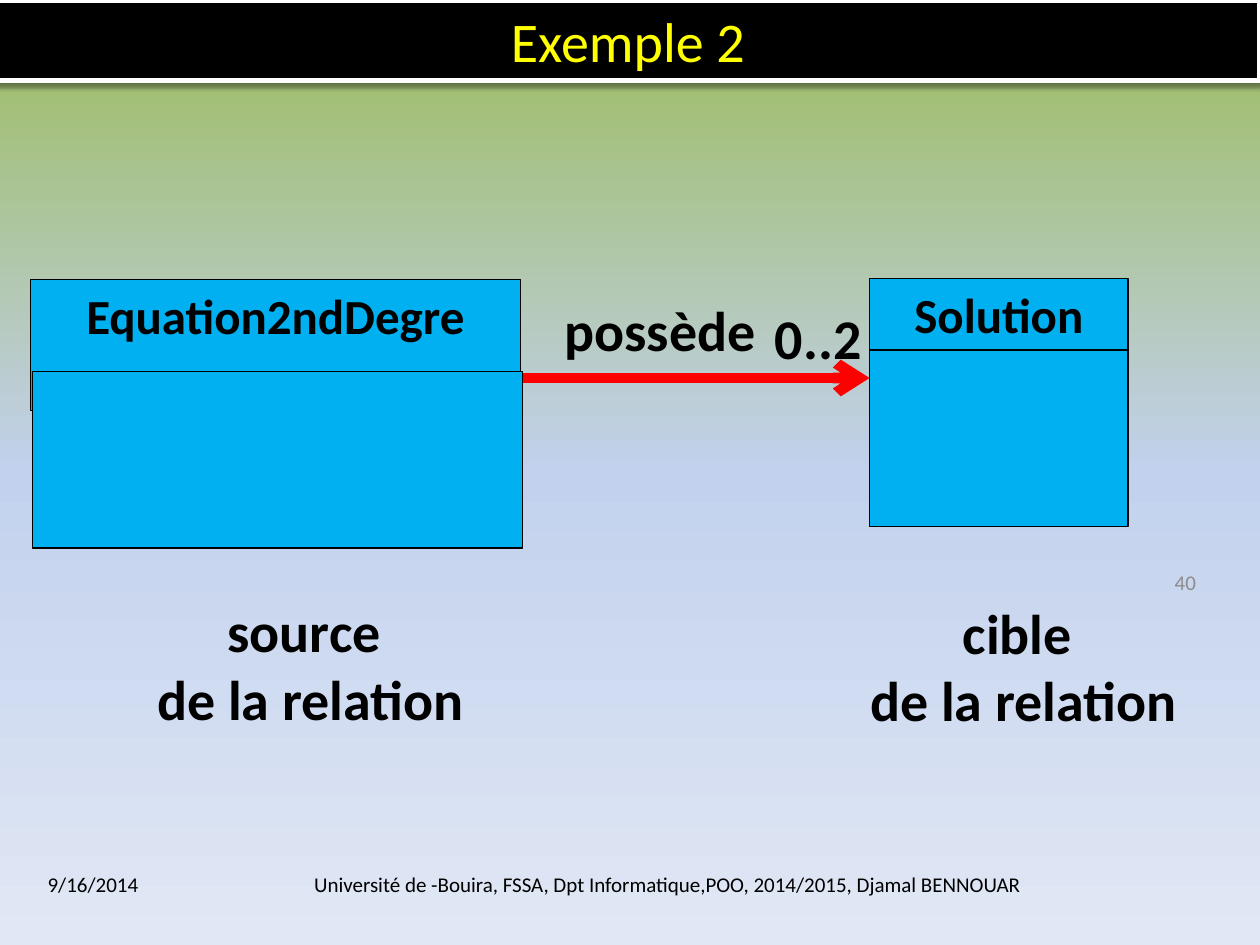
"""Build the slide showing a directed association between two classes."""
from dataclasses import dataclass

from lxml import etree
from pptx import Presentation
from pptx.dml.color import RGBColor
from pptx.enum.shapes import MSO_CONNECTOR, MSO_SHAPE
from pptx.enum.text import MSO_ANCHOR, PP_ALIGN
from pptx.oxml import parse_xml
from pptx.oxml.ns import nsdecls, qn
from pptx.shapes.base import BaseShape
from pptx.slide import Slide
from pptx.text.text import TextFrame
from pptx.util import Cm, Pt

BLACK = RGBColor(0x00, 0x00, 0x00)
WHITE = RGBColor(0xFF, 0xFF, 0xFF)
GREY = RGBColor(0x8C, 0x8C, 0x8C)
RED = RGBColor(0xFF, 0x00, 0x00)
BLUE = RGBColor(0x00, 0xB0, 0xF0)
YELLOW = RGBColor(0xFF, 0xFF, 0x00)
GREEN = RGBColor(0x9B, 0xBB, 0x59)
SKY = RGBColor(0xC2, 0xD1, 0xED)
PALE = RGBColor(0xE1, 0xE8, 0xF5)
LEFT, MID, RIGHT = PP_ALIGN.LEFT, PP_ALIGN.CENTER, PP_ALIGN.RIGHT
TOP, CENTRE = MSO_ANCHOR.TOP, MSO_ANCHOR.MIDDLE
RECT, LINE = MSO_SHAPE.RECTANGLE, MSO_CONNECTOR.STRAIGHT
FONT = "Calibri"


@dataclass
class Box:
    left: float
    top: float
    width: float
    height: float

    def cm(self) -> list[Cm]:
        return [Cm(v) for v in (self.left, self.top, self.width, self.height)]


@dataclass
class Label:
    box: Box
    lines: list[str]
    size: int = 32
    bold: bool = True
    align: PP_ALIGN = MID
    anchor: MSO_ANCHOR = TOP
    color: RGBColor = BLACK


@dataclass
class Class:
    name: str
    head: Box
    body: Box


LABELS = [
    Label(Box(0.71, 17.32, 3.18, 1.02), ["9/16/2014"], 12, False, LEFT, CENTRE),
    Label(Box(3.3, 17.32, 20.32, 1.02),
          ["Université de -Bouira, FSSA, Dpt Informatique,POO, 2014/2015, Djamal BENNOUAR"],
          12, False, MID, CENTRE),
    Label(Box(18.44, 11.23, 5.92, 1.02), ["40"], 12, False, RIGHT, CENTRE, GREY),
    Label(Box(11.13, 5.84, 6.05, 1.63), ["possède"], align=LEFT),
    Label(Box(15.37, 5.99, 3.63, 1.63), ["0..2"], align=LEFT),
    Label(Box(0.61, 11.91, 11.3, 3), ["source ", "de la relation"]),
    Label(Box(16.05, 11.94, 9.17, 3), ["cible ", "de la relation"]),
]
CLASSES = [
    Class("Equation2ndDegre", Box(0.61, 5.64, 9.88, 2.64), Box(0.66, 7.49, 9.88, 3.56)),
    Class("Solution", Box(17.53, 5.61, 5.21, 1.45), Box(17.53, 7.06, 5.21, 3.56)),
]


def write(frame: TextFrame, lines: list[str], size: int, bold: bool,
          align: PP_ALIGN, anchor: MSO_ANCHOR, color: RGBColor) -> None:
    frame.word_wrap = True
    frame.vertical_anchor = anchor
    for i, line in enumerate(lines):
        para = frame.paragraphs[0] if i == 0 else frame.add_paragraph()
        para.alignment = align
        run = para.add_run()
        run.text = line
        font = run.font
        font.name, font.size, font.bold = FONT, Pt(size), bold
        font.color.rgb = color


def paint(shape: BaseShape, fill: RGBColor, line: RGBColor, width: float) -> None:
    shape.fill.solid()
    shape.fill.fore_color.rgb = fill
    shape.line.color.rgb = line
    shape.line.width = Pt(width)


def draw_back(slide: Slide) -> None:
    stops = "".join(
        f'<a:gs pos="{pos}"><a:srgbClr val="{color}"/></a:gs>'
        for pos, color in ((0, GREEN), (50000, SKY), (100000, PALE)))
    slide.element.cSld.insert(0, parse_xml(
        f'<p:bg {nsdecls("p", "a")}><p:bgPr><a:gradFill rotWithShape="1">'
        f'<a:gsLst>{stops}</a:gsLst><a:lin ang="5400000" scaled="0"/>'
        '</a:gradFill><a:effectLst/></p:bgPr></p:bg>'))


def draw_title(slide: Slide) -> None:
    title = slide.shapes.title
    title.left, title.top, title.width, title.height = Box(-0.08, 0, 25.48, 1.63).cm()
    paint(title, BLACK, WHITE, 3)
    title.element.spPr.append(parse_xml(
        f'<a:effectLst {nsdecls("a")}><a:outerShdw blurRad="39370" dist="20320" '
        f'dir="5400000" rotWithShape="0"><a:srgbClr val="{BLACK}">'
        '<a:alpha val="38000"/></a:srgbClr></a:outerShdw></a:effectLst>'))
    write(title.text_frame, ["Exemple 2"], 32, False, MID, CENTRE, YELLOW)


def draw_label(slide: Slide, item: Label) -> None:
    frame = slide.shapes.add_textbox(*item.box.cm()).text_frame
    write(frame, item.lines, item.size, item.bold, item.align, item.anchor, item.color)


def draw_arrow(slide: Slide) -> None:
    arrow = slide.shapes.add_connector(LINE, Cm(8.61), Cm(7.62), Cm(17.53), Cm(7.62))
    arrow.line.color.rgb = RED
    arrow.line.width = Pt(6)
    etree.SubElement(arrow.line._get_or_add_ln(), qn("a:tailEnd"), type="arrow")
    etree.SubElement(arrow.element.spPr, qn("a:effectLst"))


def draw_class(slide: Slide, item: Class) -> None:
    group = slide.shapes.add_group_shape()
    head, body = [group.shapes.add_shape(RECT, *box.cm()) for box in (item.head, item.body)]
    for part in (head, body):
        part.shadow.inherit = False
        paint(part, BLUE, BLACK, 0.75)
    write(head.text_frame, [item.name], 28, True, MID, TOP, BLACK)


def main() -> None:
    deck = Presentation()
    deck.slide_width, deck.slide_height = Cm(25.4), Cm(19.05)
    slide = deck.slides.add_slide(deck.slide_layouts[5])
    draw_back(slide)
    draw_title(slide)
    draw_arrow(slide)
    for item in LABELS:
        draw_label(slide, item)
    for item in CLASSES:
        draw_class(slide, item)
    deck.save("out.pptx")


if __name__ == "__main__":
    main()
